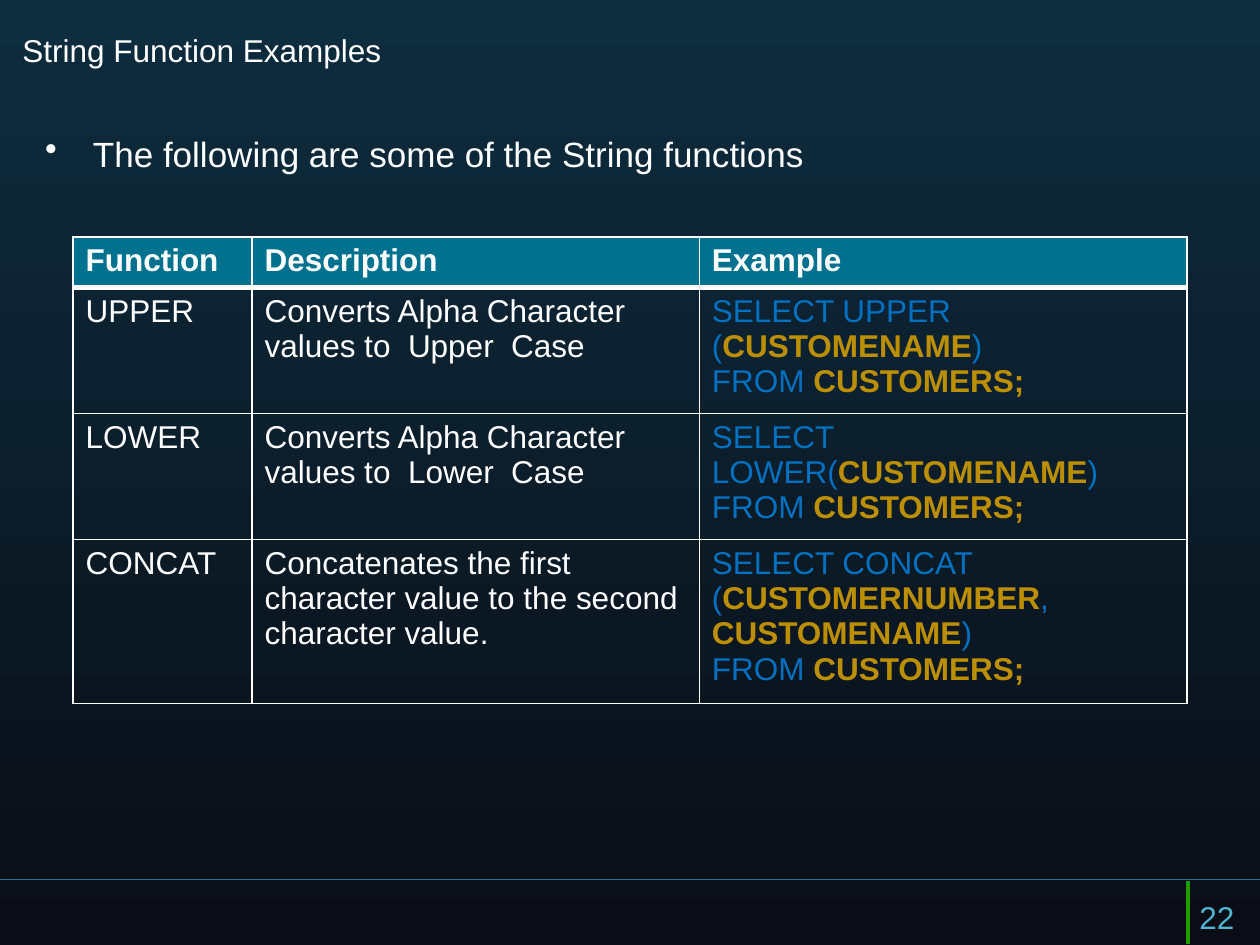
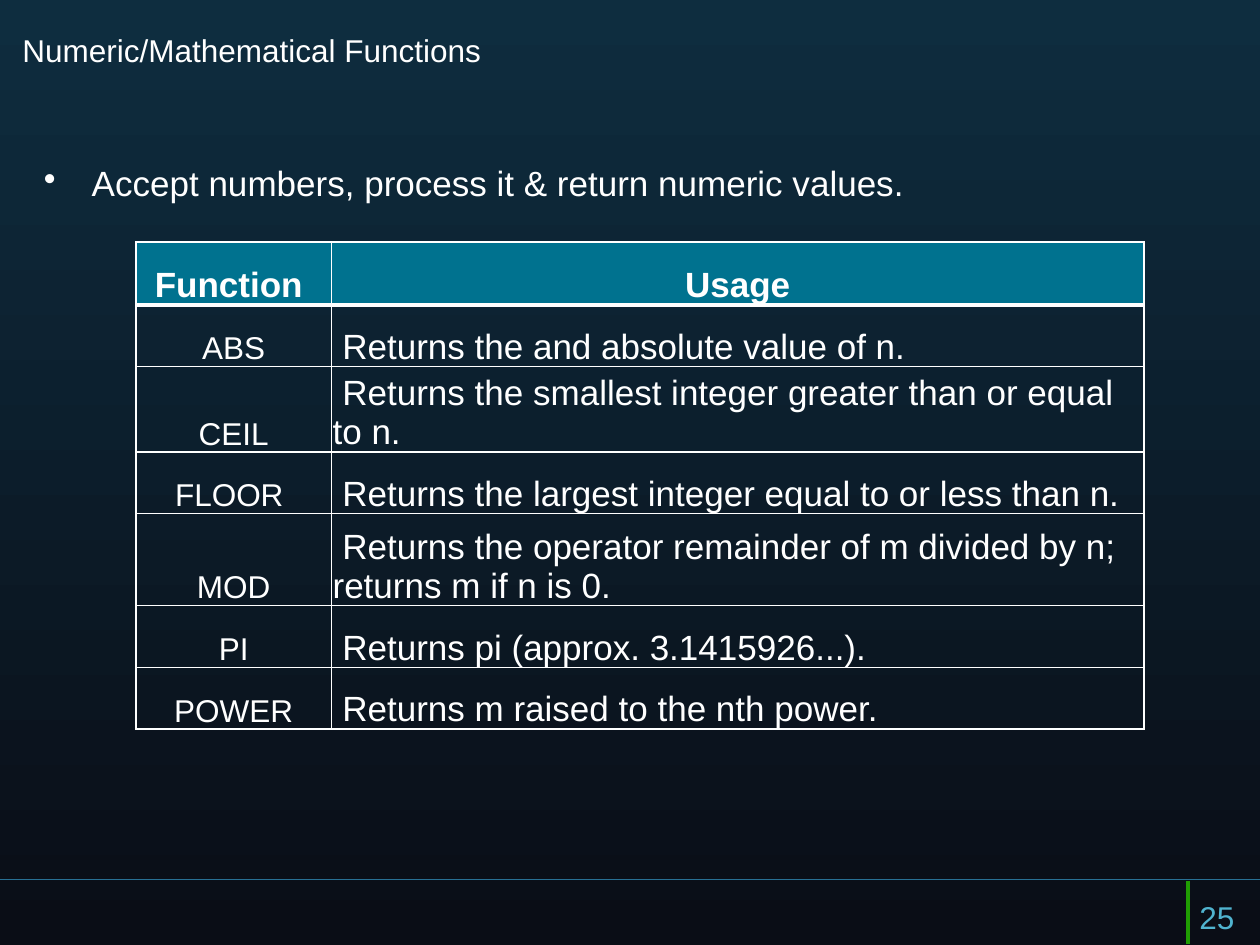
import pptx
import pptx.dml.color
import pptx.enum.shapes
import pptx.enum.text
import pptx.oxml
import pptx.oxml.ns
import pptx.util
from pptx.dml.color import RGBColor
from pptx.util import Inches

FONT = "Arial"
WHITE = RGBColor(0xFF, 0xFF, 0xFF)
NIGHT_TOP = RGBColor(0x0E, 0x2D, 0x3F)
NIGHT_BOTTOM = RGBColor(0x0A, 0x0D, 0x16)
FOOTER_BLUE = RGBColor(0x28, 0x70, 0x94)
FOOTER_GREEN = RGBColor(0x20, 0x9D, 0x03)
NUMBER_BLUE = RGBColor(0x50, 0xB3, 0xCF)
HEADER_TEAL = RGBColor(0x00, 0x72, 0x8F)
KEYWORD_BLUE = RGBColor(0x00, 0x70, 0xC0)
NAME_GOLD = RGBColor(0xBC, 0x8F, 0x00)

CENTER = pptx.enum.text.PP_ALIGN.CENTER
LEFT = pptx.enum.text.PP_ALIGN.LEFT
TIGHT_CELL = {
    "vertical_anchor": pptx.enum.text.MSO_ANCHOR.BOTTOM,
    "margin_left": Inches(0.01),
    "margin_top": Inches(0.01),
    "margin_right": Inches(0.01),
    "margin_bottom": 0,
}

STRING_ROWS = [
    ("UPPER", "Converts Alpha Character values to  Upper  Case",
     ["SELECT UPPER (", "CUSTOMENAME", ")"]),
    ("LOWER", "Converts Alpha Character values to  Lower  Case",
     ["SELECT LOWER(", "CUSTOMENAME", ")"]),
    ("CONCAT", "Concatenates the first character value to the second character value.",
     ["SELECT CONCAT (", "CUSTOMERNUMBER", ", ", "CUSTOMENAME", ")"]),
]
FROM_CLAUSE = ["FROM ", "CUSTOMERS;"]

NUMERIC_ROWS = [
    ("ABS", " Returns the and absolute value of n."),
    ("CEIL", " Returns the smallest integer greater than or equal to n."),
    ("FLOOR ", " Returns the largest integer equal to or less than n."),
    ("MOD", " Returns the operator remainder of m divided by n; returns m if n is 0."),
    ("PI", " Returns pi (approx. 3.1415926...)."),
    ("POWER", " Returns m raised to the nth power."),
]


def apply_format(target, values):
    for name, value in values.items():
        setattr(target, name, value)


def add_span(para, text, size, color=WHITE, bold=False):
    span = para.add_run()
    span.text = text
    apply_format(span.font, {"name": FONT, "size": pptx.util.Pt(size), "bold": bold})
    span.font.color.rgb = color


def add_text(page, text, left, top, width, height, size, color=WHITE):
    box = page.shapes.add_textbox(Inches(left), Inches(top), Inches(width), Inches(height))
    box.text_frame.word_wrap = True
    para = box.text_frame.paragraphs[0]
    add_span(para, text, size, color)
    return para


def add_bullet(page, text, left, top, height, hanging, spacing):
    para = add_text(page, text, left, top, 9, height, 20)
    apply_format(para, spacing)
    properties = para._p.get_or_add_pPr()
    properties.set("marL", str(Inches(0.38)))
    properties.set("indent", str(-Inches(hanging)))
    bullet = pptx.oxml.parse_xml(
        f'<a:buChar {pptx.oxml.ns.nsdecls("a")} char="•"/>')
    properties.append(bullet)


def add_line(page, start, end, color, width):
    line = page.shapes.add_connector(
        pptx.enum.shapes.MSO_CONNECTOR.STRAIGHT, *map(Inches, start + end))
    line.line.color.rgb = color
    line.line.width = pptx.util.Pt(width)
    line._element.spPr.append(
        pptx.oxml.parse_xml(f'<a:effectLst {pptx.oxml.ns.nsdecls("a")}/>'))


def add_page(deck, title, number):
    page = deck.slides.add_slide(deck.slide_layouts[6])
    fill = page.background.fill
    fill.gradient()
    fill.gradient_angle = 270
    for stop, color in zip(fill.gradient_stops, (NIGHT_TOP, NIGHT_BOTTOM)):
        stop.color.rgb = color
    add_line(page, (10, 6.98), (0, 6.98), FOOTER_BLUE, 0.75)
    add_line(page, (9.43, 6.99), (9.43, 7.49), FOOTER_GREEN, 2)
    add_text(page, title, 0.08, 0.2, 7.5, 0.58, 18)
    add_text(page, number, 9.42, 7.08, 0.58, 0.42, 18, NUMBER_BLUE)
    return page


def set_borders(cell, top, bottom):
    properties = cell._tc.get_or_add_tcPr()
    widths = {"lnL": 1, "lnR": 1, "lnT": top, "lnB": bottom}
    for position, (side, width) in enumerate(widths.items()):
        properties.insert(position, pptx.oxml.parse_xml(
            f'<a:{side} {pptx.oxml.ns.nsdecls("a")} w="{pptx.util.Pt(width)}">'
            f'<a:solidFill><a:srgbClr val="{WHITE}"/></a:solidFill></a:{side}>'))


def add_grid(page, left, top, columns, rows):
    frame = page.shapes.add_table(
        len(rows), len(columns), Inches(left), Inches(top),
        Inches(sum(columns)), Inches(sum(rows)))
    table = frame.table
    apply_format(table, {"first_row": False, "horz_banding": False})
    for column, width in zip(table.columns, columns):
        column.width = Inches(width)
    for index, (row, height) in enumerate(zip(table.rows, rows)):
        row.height = Inches(height)
        for cell in row.cells:
            if index == 0:
                cell.fill.solid()
                cell.fill.fore_color.rgb = HEADER_TEAL
            else:
                cell.fill.background()
            set_borders(cell, 3 if index == 1 else 1, 3 if index == 0 else 1)
    return table


def fill_cell(cell, text, size, bold=False, align=LEFT):
    para = cell.text_frame.paragraphs[0]
    para.alignment = align
    add_span(para, text, size, bold=bold)


def fill_query(cell, select_clause):
    frame = cell.text_frame
    for para, clause in ((frame.paragraphs[0], select_clause),
                         (frame.add_paragraph(), FROM_CLAUSE)):
        for index, text in enumerate(clause):
            is_name = index % 2 == 1
            add_span(para, text, 18, NAME_GOLD if is_name else KEYWORD_BLUE, is_name)


def add_string_page(deck):
    page = add_page(deck, "String Function Examples", "22")
    add_bullet(page, "The following are some of the String functions",
               0.26, 1, 0.62, 0.38, {"space_before": pptx.util.Pt(12)})
    table = add_grid(page, 0.58, 1.88, [1.42, 3.55, 3.87], [0.38, 0.94, 0.94, 1.22])
    for column, heading in enumerate(("Function", "Description", "Example")):
        fill_cell(table.cell(0, column), heading, 18, bold=True)
    for row, (name, description, query) in enumerate(STRING_ROWS, 1):
        fill_cell(table.cell(row, 0), name, 18)
        fill_cell(table.cell(row, 1), description, 18)
        fill_query(table.cell(row, 2), query)


def add_numeric_page(deck):
    page = add_page(deck, "Numeric/Mathematical Functions", "25")
    add_bullet(page, "Accept numbers, process it & return numeric values.",
               0.25, 1.17, 1, 0.4,
               {"line_spacing": 1.2, "space_before": pptx.util.Pt(4)})
    table = add_grid(page, 1.08, 1.92, [1.55, 6.45],
                     [0.5, 0.49, 0.63, 0.49, 0.73, 0.49, 0.49])
    for cell in table.iter_cells():
        apply_format(cell, TIGHT_CELL)
    for column, heading in enumerate(("Function ", "Usage")):
        fill_cell(table.cell(0, column), heading, 20, bold=True, align=CENTER)
    for row, (name, usage) in enumerate(NUMERIC_ROWS, 1):
        fill_cell(table.cell(row, 0), name, 18, align=CENTER)
        fill_cell(table.cell(row, 1), usage, 20)


def main():
    deck = pptx.Presentation()
    apply_format(deck, {"slide_width": Inches(10), "slide_height": Inches(7.5)})
    add_string_page(deck)
    add_numeric_page(deck)
    deck.save("out.pptx")


if __name__ == "__main__":
    main()
